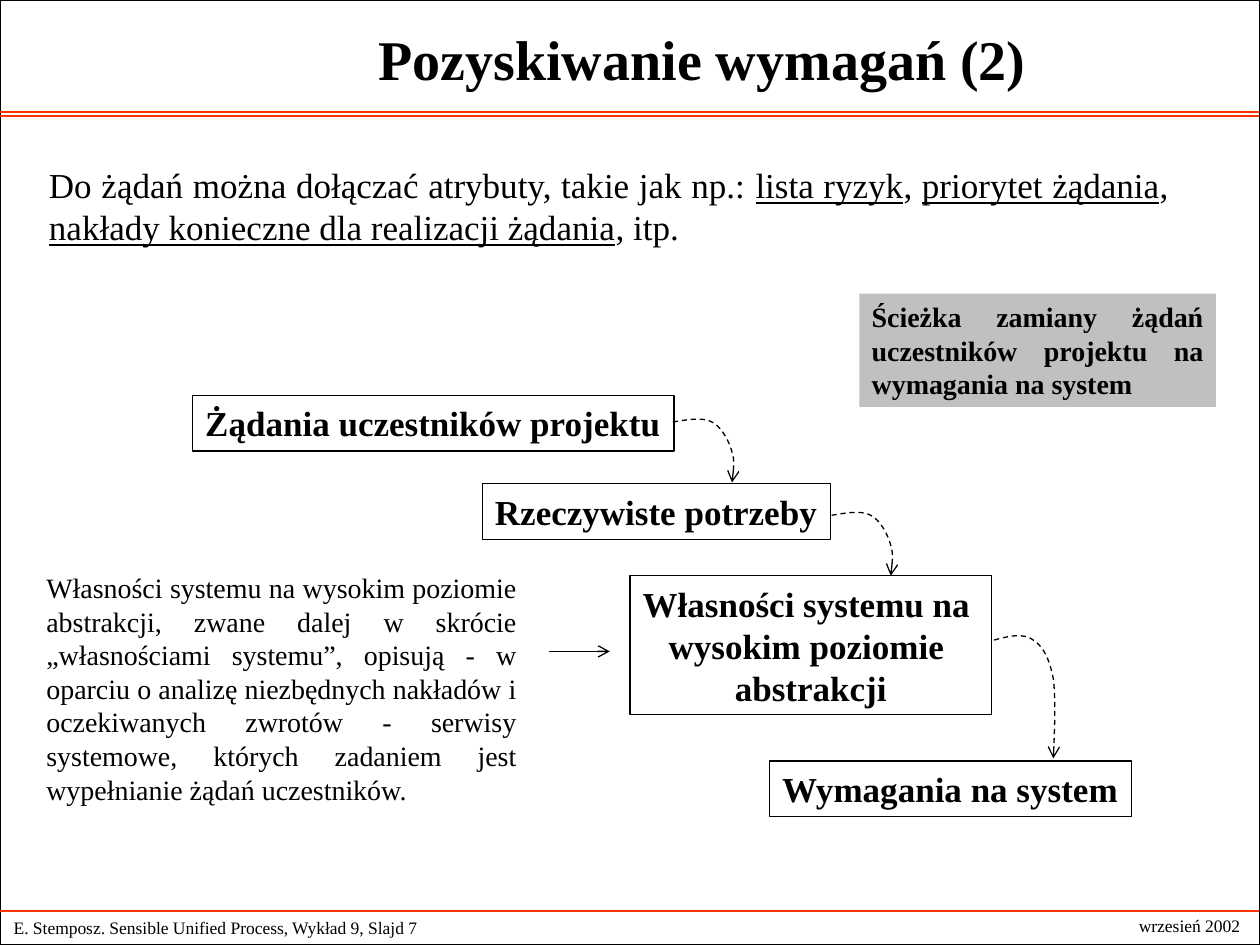
from pptx import Presentation
from pptx.dml.color import RGBColor
from pptx.enum.dml import MSO_LINE
from pptx.enum.shapes import MSO_CONNECTOR, MSO_SHAPE
from pptx.enum.text import MSO_ANCHOR, PP_ALIGN
from pptx.oxml.ns import qn
from pptx.util import Inches, Pt
from lxml import etree

FONT = "Times New Roman"
BLACK, WHITE, RED, GREY = "000000", "FFFFFF", "FF3300", "C0C0C0"
LEFT, CENTER, JUSTIFY = PP_ALIGN.LEFT, PP_ALIGN.CENTER, PP_ALIGN.JUSTIFY
TOP, MIDDLE = MSO_ANCHOR.TOP, MSO_ANCHOR.MIDDLE
DASH = MSO_LINE.DASH
STRAIGHT = MSO_CONNECTOR.STRAIGHT
RECTANGLE = MSO_SHAPE.RECTANGLE

STEPS = [
    ((1.53, 3.14, 3.82, 0.44), ["Żądania uczestników projektu"], LEFT),
    ((3.83, 3.84, 2.76, 0.44), ["Rzeczywiste potrzeby"], LEFT),
    ((5, 4.57, 2.87, 1.1),
     ["Własności systemu na ", "wysokim poziomie ", "abstrakcji"], CENTER),
    ((6.11, 6.04, 2.87, 0.44), ["Wymagania na system"], LEFT),
]

# Bézier points relative to the start of the arrow, three per segment
SHORT_BEND = [(0.12, -0.02), (0.24, -0.04), (0.31, 0),
              (0.39, 0.04), (0.45, 0.16), (0.47, 0.24),
              (0.5, 0.32), (0.47, 0.44), (0.47, 0.48)]
LONG_BEND = [(0.11, -0.03), (0.23, -0.06), (0.31, 0),
             (0.39, 0.05), (0.44, 0.15), (0.47, 0.31),
             (0.49, 0.47), (0.48, 0.7), (0.47, 0.94)]
BENDS = [((5.34, 3.35), SHORT_BEND), ((6.6, 4.09), SHORT_BEND),
         ((7.89, 5.08), LONG_BEND)]

REQUEST_RUNS = [
    ("Do żądań można dołączać atrybuty, takie jak np.: ", False),
    ("lista ryzyk", True), (", ", False),
    ("priorytet żądania", True), (", ", False),
    ("nakłady konieczne dla realizacji żądania", True), (", itp.", False),
]
DEFINITION = (
    "Własności systemu na wysokim poziomie abstrakcji, zwane dalej w skrócie "
    "„własnościami systemu”, opisują - w oparciu o analizę niezbędnych nakładów "
    "i oczekiwanych zwrotów - serwisy systemowe, których zadaniem jest "
    "wypełnianie żądań uczestników.")


def color(value):
    return RGBColor.from_string(value)


def set_line(line, value, dash=None, arrow=False):
    line.color.rgb = color(value)
    line.width = Pt(0.75)
    if dash:
        line.dash_style = dash
    if arrow:
        etree.SubElement(line._get_or_add_ln(), qn("a:tailEnd"), type="arrow")


def write(shape, paragraphs, size, align=LEFT, anchor=TOP, wrap=True, bold=False):
    """Fill a shape with paragraphs, each a list of (text, underlined) runs."""
    frame = shape.text_frame
    frame.word_wrap = wrap
    frame.vertical_anchor = anchor
    font_format = {"name": FONT, "size": Pt(size), "bold": bold}
    for index, runs in enumerate(paragraphs):
        paragraph = frame.add_paragraph() if index else frame.paragraphs[0]
        paragraph.alignment = align
        for text, underlined in runs:
            run = paragraph.add_run()
            run.text = text
            for name, value in font_format.items():
                setattr(run.font, name, value)
            run.font.color.rgb = color(BLACK)
            if underlined:
                run.font.underline = True


def add_text(slide, box, runs, size, **layout):
    shape = slide.shapes.add_textbox(*map(Inches, box))
    write(shape, [runs], size, **layout)


def add_rectangle(slide, box, fill=None, line=None):
    shape = slide.shapes.add_shape(RECTANGLE, *map(Inches, box))
    shape.shadow.inherit = False
    if fill:
        shape.fill.solid()
        shape.fill.fore_color.rgb = color(fill)
    else:
        shape.fill.background()
    if line:
        set_line(shape.line, line)
    else:
        shape.line.fill.background()
    return shape


def add_line(slide, start, end, value, arrow=False):
    connector = slide.shapes.add_connector(STRAIGHT, *map(Inches, start + end))
    set_line(connector.line, value, arrow=arrow)
    etree.SubElement(connector._element.spPr, qn("a:effectLst"))


def bezier_points(start, controls, steps=10):
    points = []
    for index in range(0, len(controls), 3):
        first, second, end = controls[index:index + 3]
        for step in range(1, steps + 1):
            t = step / steps
            weights = ((1 - t) ** 3, 3 * t * (1 - t) ** 2, 3 * t * t * (1 - t), t ** 3)
            points.append(tuple(
                sum(weight * value for weight, value in zip(weights, values))
                for values in zip(start, first, second, end)))
        start = end
    return points


def add_bent_arrow(slide, start, controls):
    left, top = start
    builder = slide.shapes.build_freeform(Inches(left), Inches(top))
    builder.add_line_segments(
        [(Inches(left + x), Inches(top + y)) for x, y in bezier_points((0, 0), controls)],
        close=False)
    shape = builder.convert_to_shape()
    shape.shadow.inherit = False
    shape.fill.background()
    set_line(shape.line, BLACK, DASH, arrow=True)


def add_frame(slide):
    add_rectangle(slide, (0, 0, 10, 7.5), WHITE, BLACK)
    for height in (0.89, 0.92, 7.23):
        add_line(slide, (-0.01, height), (9.99, height), RED)
    add_text(slide, (0.01, 7.23, 4.48, 0.27),
             [("E. Stemposz. Sensible Unified Process, Wykład 9, Slajd 7", False)],
             10, anchor=MIDDLE)
    add_text(slide, (8.92, 7.21, 1.04, 0.27), [("wrzesień 2002", False)],
             10, align=CENTER, anchor=MIDDLE, wrap=False)


def main():
    presentation = Presentation()
    presentation.slide_width, presentation.slide_height = Inches(10), Inches(7.5)
    slide = presentation.slides.add_slide(presentation.slide_layouts[6])

    add_frame(slide)
    add_text(slide, (1.16, 0, 8.83, 0.92), [("Pozyskiwanie wymagań (2)", False)],
             32, align=CENTER, anchor=MIDDLE, bold=True)
    for box, lines, align in STEPS:
        shape = add_rectangle(slide, box, line=BLACK)
        write(shape, [[(line, False)] for line in lines], 20,
              align=align, wrap=False, bold=True)
    for start, controls in BENDS:
        add_bent_arrow(slide, start, controls)

    add_text(slide, (0.27, 4.48, 3.93, 1.97), [(DEFINITION, False)], 16, align=JUSTIFY)
    add_line(slide, (4.36, 5.17), (4.84, 5.17), BLACK, arrow=True)
    note = add_rectangle(slide, (6.82, 2.33, 2.83, 0.9), fill=GREY)
    write(note, [[("Ścieżka zamiany żądań uczestników projektu na wymagania na system",
                   False)]], 16, align=JUSTIFY, bold=True)
    add_text(slide, (0.29, 1.25, 9.08, 0.77), REQUEST_RUNS, 20, align=JUSTIFY)

    presentation.save("out.pptx")


if __name__ == "__main__":
    main()
